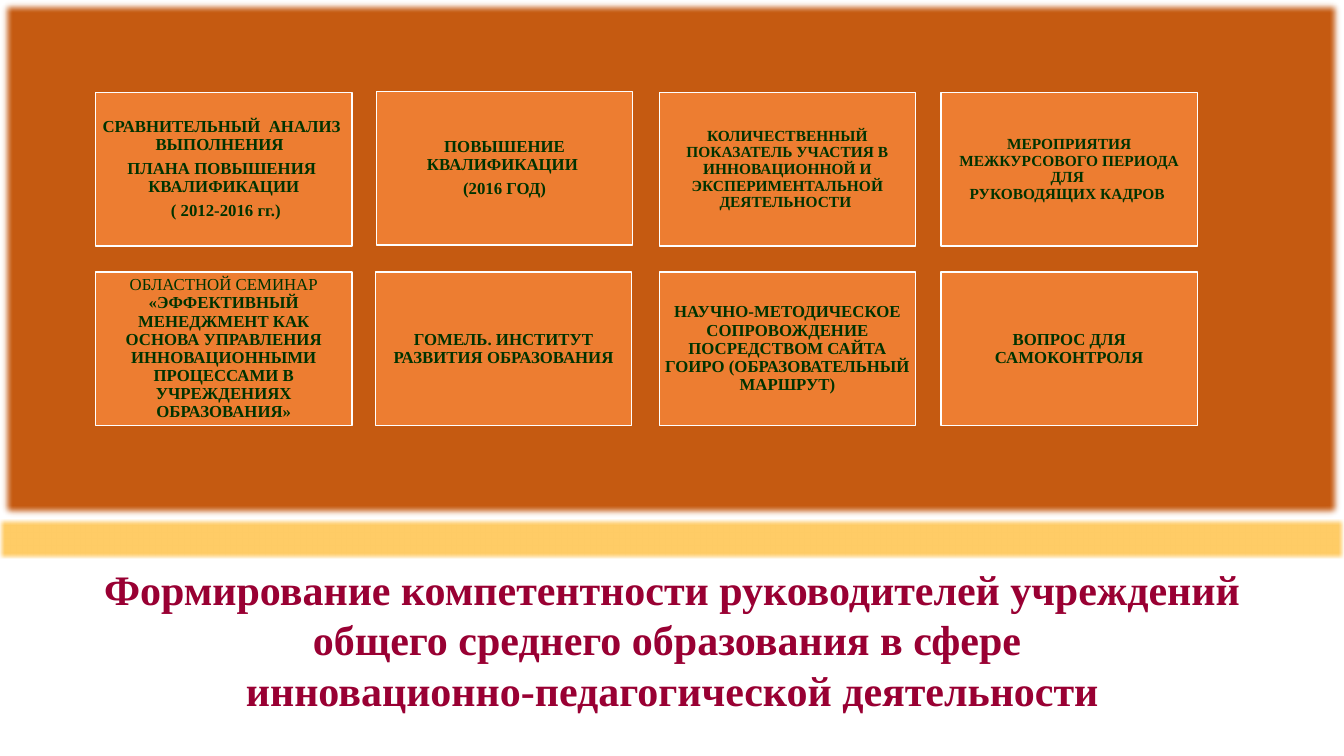
from lxml import etree
from pptx import Presentation, util as u
from pptx.dml.color import RGBColor
from pptx.enum import shapes, text
from pptx.oxml.ns import qn

RUST = RGBColor(0xC5, 0x5A, 0x11)
YELLOW = RGBColor(0xFF, 0xCC, 0x66)
ORANGE = RGBColor(0xED, 0x7D, 0x31)
WHITE = RGBColor(0xFF, 0xFF, 0xFF)
GREEN = RGBColor(0x00, 0x33, 0x00)
CRIMSON = RGBColor(0x99, 0x00, 0x33)

FONT = "Times New Roman"
SLIDE_WIDTH = 13.33
CARD_WIDTH, CARD_HEIGHT = 2.54, 1.52
CARD_LEFT, CARD_TOP = 0.95, 0.92
COLUMN_STEP, ROW_STEP = 2.795, 1.78
COLUMNS = 4
LINE_BREAK = "\v"

TITLE = [
    "Формирование компетентности руководителей учреждений общего среднего образования в сфере ",
    "инновационно-педагогической деятельности",
]

CARDS = [
    (12, ["СРАВНИТЕЛЬНЫЙ  АНАЛИЗ  ВЫПОЛНЕНИЯ  ",
          "ПЛАНА ПОВЫШЕНИЯ  КВАЛИФИКАЦИИ",
          " ( 2012-2016 гг.)"]),
    (12, ["ПОВЫШЕНИЕ КВАЛИФИКАЦИИ ", "(2016 ГОД)"]),
    (11, ["КОЛИЧЕСТВЕННЫЙ ПОКАЗАТЕЛЬ УЧАСТИЯ В ИННОВАЦИОННОЙ И "
          "ЭКСПЕРИМЕНТАЛЬНОЙ ДЕЯТЕЛЬНОСТИ "]),
    (11, ["МЕРОПРИЯТИЯ МЕЖКУРСОВОГО ПЕРИОДА ДЛЯ " + LINE_BREAK
          + "РУКОВОДЯЩИХ КАДРОВ "]),
    (12, ["«ЭФФЕКТИВНЫЙ МЕНЕДЖМЕНТ КАК ОСНОВА УПРАВЛЕНИЯ ИННОВАЦИОННЫМИ "
          "ПРОЦЕССАМИ В УЧРЕЖДЕНИЯХ ОБРАЗОВАНИЯ»"], "ОБЛАСТНОЙ СЕМИНАР "),
    (12, ["ГОМЕЛЬ. ИНСТИТУТ РАЗВИТИЯ ОБРАЗОВАНИЯ"]),
    (12, ["НАУЧНО-МЕТОДИЧЕСКОЕ СОПРОВОЖДЕНИЕ ПОСРЕДСТВОМ САЙТА ГОИРО "
          "(ОБРАЗОВАТЕЛЬНЫЙ МАРШРУТ)"]),
    (12, ["ВОПРОС ДЛЯ САМОКОНТРОЛЯ"]),
]

NUDGES = {1: (-0.01, -0.01), 5: (-0.02, 0)}


def assign(target, values):
    for name, value in values.items():
        setattr(target, name, value)


def add_rect(page, left, top, width, height, color):
    rect = page.shapes.add_shape(
        shapes.MSO_SHAPE.RECTANGLE,
        u.Inches(left), u.Inches(top), u.Inches(width), u.Inches(height))
    rect.shadow.inherit = False
    rect.fill.solid()
    rect.fill.fore_color.rgb = color
    return rect


def add_band(page, top, height, color, softness):
    band = add_rect(page, 0, top, SLIDE_WIDTH, height, color)
    band.line.fill.background()
    effects = band.element.spPr.find(qn("a:effectLst"))
    edge = etree.SubElement(effects, qn("a:softEdge"))
    edge.set("rad", str(u.Pt(softness)))


def write_paras(frame, lines, size, color, layout, lead=""):
    frame.text = "\n".join(lines)
    if lead:
        span = frame.paragraphs[0].runs[0]
        rest, span.text = span.text, lead
        frame.paragraphs[0].add_run().text = rest
    for para in frame.paragraphs:
        assign(para, {"alignment": text.PP_ALIGN.CENTER, **layout})
        for span in para.runs:
            assign(span.font, {"name": FONT, "size": u.Pt(size),
                               "bold": not lead or span.text != lead})
            span.font.color.rgb = color


def add_card(page, index, size, lines, lead=""):
    row, column = divmod(index, COLUMNS)
    shift_x, shift_y = NUDGES.get(index, (0, 0))
    card = add_rect(page, CARD_LEFT + column * COLUMN_STEP + shift_x,
                    CARD_TOP + row * ROW_STEP + shift_y,
                    CARD_WIDTH, CARD_HEIGHT, ORANGE)
    card.line.color.rgb = WHITE
    card.line.width = u.Pt(1)
    inset = u.Inches(0.05)
    assign(card.text_frame, {
        "word_wrap": True, "vertical_anchor": text.MSO_ANCHOR.MIDDLE,
        "margin_left": inset, "margin_right": inset,
        "margin_top": inset, "margin_bottom": inset})
    write_paras(card.text_frame, lines, size, GREEN,
                {"line_spacing": 0.9, "space_after": u.Pt(size * 0.35)}, lead)


def add_title(page):
    title = page.shapes.title
    assign(title, {"left": u.Inches(0.42), "top": u.Inches(5.54),
                   "width": u.Inches(12.5), "height": u.Inches(1.62)})
    assign(title.text_frame, {
        "word_wrap": True, "vertical_anchor": text.MSO_ANCHOR.TOP,
        "auto_size": text.MSO_AUTO_SIZE.SHAPE_TO_FIT_TEXT})
    write_paras(title.text_frame, TITLE, 30, CRIMSON,
                {"line_spacing": 1.0, "space_before": u.Pt(0)})


def main():
    deck = Presentation()
    deck.slide_width = u.Inches(SLIDE_WIDTH)
    deck.slide_height = u.Inches(7.5)
    page = deck.slides.add_slide(deck.slide_layouts[5])
    add_band(page, 0, 5.15, RUST, 5)
    add_title(page)
    add_band(page, 5.15, 0.39, YELLOW, 2.5)
    for index, card in enumerate(CARDS):
        add_card(page, index, *card)
    deck.save("out.pptx")


if __name__ == "__main__":
    main()
